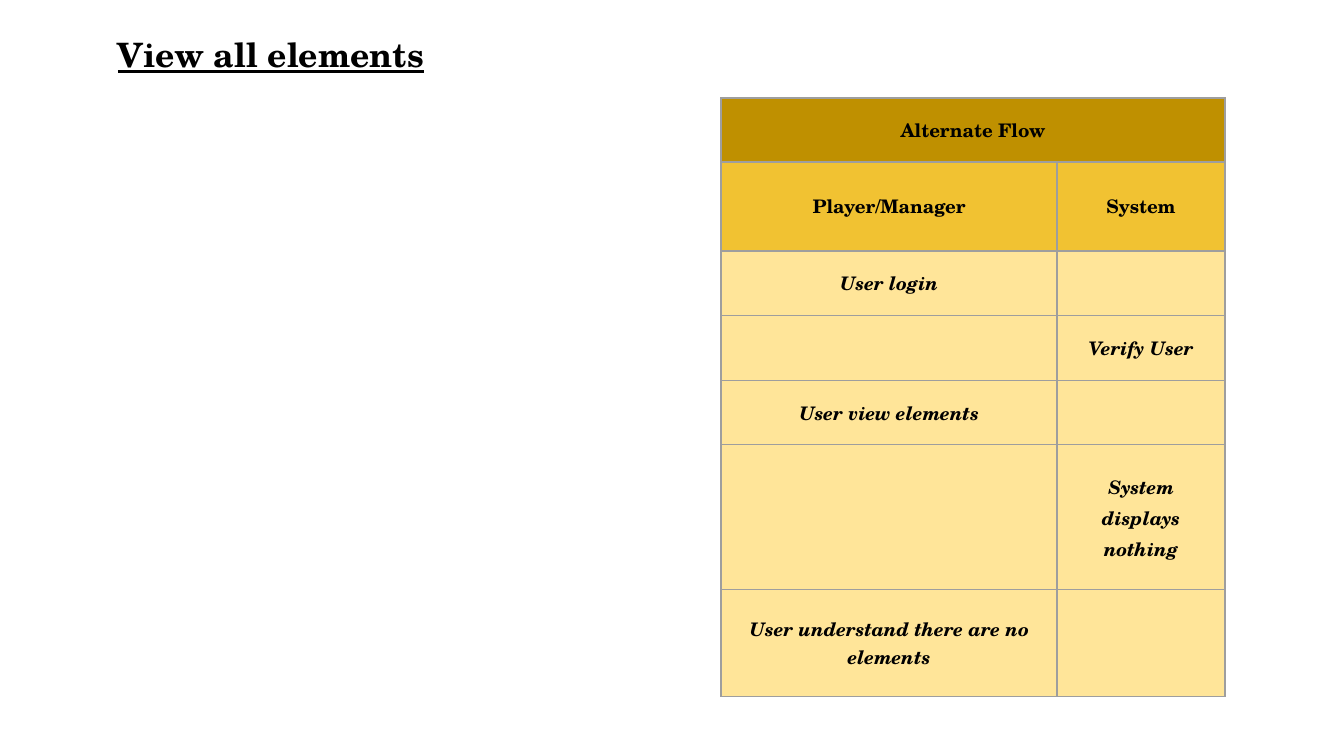
from dataclasses import dataclass

from lxml.etree import SubElement
from pptx import Presentation
from pptx.dml.color import RGBColor
from pptx.enum.text import MSO_ANCHOR, PP_ALIGN
from pptx.oxml.ns import qn
from pptx.util import Emu, Pt

PX_PER_INCH = 134.4


@dataclass(frozen=True)
class Theme:
    font: str = "TeX Gyre Schola"
    ink: str = "000000"
    border: str = "9E9E9E"
    banner: str = "BF9000"
    header: str = "F1C232"
    step: str = "FFE599"
    title_size: int = 18
    table_size: int = 10
    line_spacing: float = 1.08


theme = Theme()


def px(length):
    return Emu(round(length * 914400 / PX_PER_INCH))


def style_text(holder, size, align, italic=False, underline=False):
    """Format a title or table cell: inset, centred vertically, bold."""
    holder.margin_left = holder.margin_right = px(13)
    holder.margin_top = holder.margin_bottom = px(13)
    holder.vertical_anchor = MSO_ANCHOR.MIDDLE
    frame = getattr(holder, "text_frame", holder)
    for paragraph in frame.paragraphs:
        paragraph.alignment = align
        for run in paragraph.runs:
            run.font.name = theme.font
            run.font.size = Pt(size)
            run.font.bold = True
            run.font.italic = italic
            run.font.underline = underline
            run.font.color.rgb = RGBColor.from_string(theme.ink)


prs = Presentation()
prs.slide_width, prs.slide_height = px(1344), px(756)
slide = prs.slides.add_slide(prs.slide_layouts[5])

# Title, with an indented first line
title = slide.shapes.title
title.left, title.top, title.width, title.height = px(38), px(0), px(528), px(106)
title.text_frame.text = "View all elements"
title.text_frame.word_wrap = True
style_text(title.text_frame, theme.title_size, PP_ALIGN.LEFT, underline=True)
heading = title.text_frame.paragraphs[0]
heading.line_spacing = theme.line_spacing
heading._p.get_or_add_pPr().set("indent", str(px(67)))

# Flow rows: height, fill, actor's text, system's text
flow = [
    (64, theme.banner, "Alternate Flow", ""),
    (89, theme.header, "Player/Manager", "System"),
    (65, theme.step, "User login", ""),
    (65, theme.step, "", "Verify User"),
    (64, theme.step, "User view elements", ""),
    (145, theme.step, "", "System displays nothing"),
    (107, theme.step, "User understand there are no elements", ""),
]
column_width = 168
table = slide.shapes.add_table(
    len(flow), 3, px(721), px(98),
    px(3 * column_width), px(sum(row[0] for row in flow)),
).table
table.first_row = table.horz_banding = False
for column in table.columns:
    column.width = px(column_width)

for index, (height, fill, actor, system) in enumerate(flow):
    table.rows[index].height = px(height)
    actor_cell, system_cell = table.cell(index, 0), table.cell(index, 2)
    # The banner spans the table; below it the actor takes two columns
    actor_cell.merge(table.cell(index, 2 if index == 0 else 1))

    for cell in table.rows[index].cells:
        for edge in ("a:lnL", "a:lnR", "a:lnT", "a:lnB"):
            line = SubElement(cell._tc.get_or_add_tcPr(), qn(edge), w=str(Pt(0.75)))
            paint = SubElement(line, qn("a:solidFill"))
            SubElement(paint, qn("a:srgbClr"), val=theme.border)
        cell.fill.solid()
        cell.fill.fore_color.rgb = RGBColor.from_string(fill)

    for cell, words in ((actor_cell, actor), (system_cell, system)):
        if words:
            cell.text_frame.text = words
            style_text(cell, theme.table_size, PP_ALIGN.CENTER, italic=index > 1)

table.cell(5, 2).text_frame.paragraphs[0].line_spacing = theme.line_spacing

prs.save("out.pptx")
